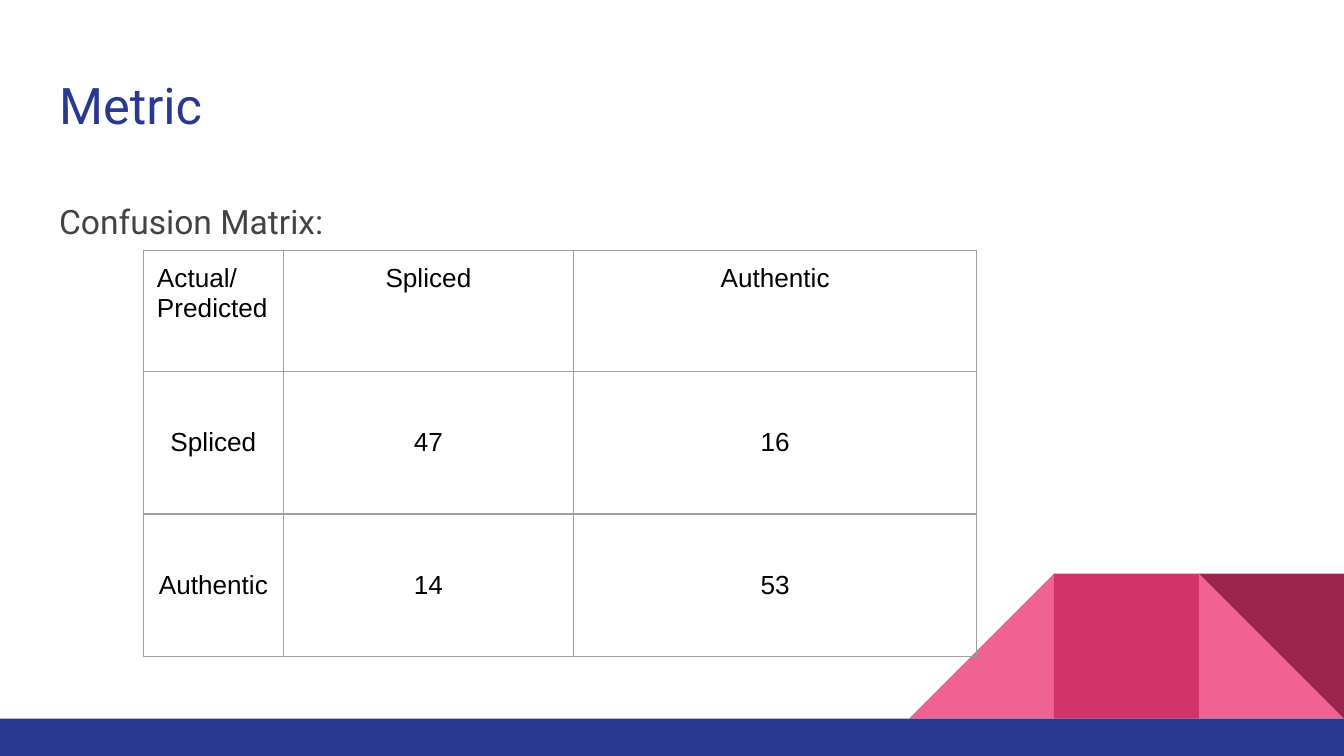
from lxml.etree import SubElement
from pptx import Presentation
from pptx.dml.color import RGBColor
from pptx.enum.shapes import MSO_SHAPE as Preset
from pptx.enum.text import MSO_ANCHOR as Anchor, MSO_AUTO_SIZE as AutoSize, PP_ALIGN as Align
from pptx.oxml.ns import qn
from pptx.util import Pt

SLIDE_W, SLIDE_H = 720, 405
INSET = 7.2
NAVY = RGBColor(0x2A, 0x39, 0x90)
PINK = RGBColor(0xF0, 0x62, 0x92)
ROSE = RGBColor(0xD2, 0x33, 0x69)
WINE = RGBColor(0x9C, 0x25, 0x4D)
DARK_GREY = RGBColor(0x43, 0x43, 0x43)
BORDER_GREY = RGBColor(0x9E, 0x9E, 0x9E)
BLACK = RGBColor(0, 0, 0)


def write_text(frame, text, *, size, color, font, align=Align.LEFT, spacing=1.0):
    """Fill a text frame, one paragraph per line of text."""
    frame.text = text
    for paragraph in frame.paragraphs:
        paragraph.alignment = align
        paragraph.line_spacing = spacing
        paragraph.space_before = Pt(0)
        for run in paragraph.runs:
            run.font.size = Pt(size)
            run.font.name = font
            run.font.color.rgb = color


def set_insets(target):
    target.margin_left = target.margin_right = Pt(INSET)
    target.margin_top = target.margin_bottom = Pt(INSET)


def place_placeholder(holder, box, text, **text_format):
    holder.left, holder.top, holder.width, holder.height = map(Pt, box)
    frame = holder.text_frame
    frame.auto_size = AutoSize.NONE
    frame.vertical_anchor = Anchor.TOP
    set_insets(frame)
    write_text(frame, text, font="Roboto", **text_format)


def remove_bullets(frame):
    for paragraph in frame.paragraphs:
        properties = paragraph._p.get_or_add_pPr()
        properties.set("marL", "0")
        properties.set("indent", "0")
        SubElement(properties, qn("a:buNone"))


def add_tile(slide, preset, box, color, rotation=0):
    tile = slide.shapes.add_shape(preset, *map(Pt, box))
    tile.shadow.inherit = False
    tile.fill.solid()
    tile.fill.fore_color.rgb = color
    tile.line.fill.background()
    tile.rotation = rotation


def add_footer(slide, left, top, width, height):
    """Navy band along the bottom with a row of square tiles above its right end."""
    band_height = 20
    side = height - band_height
    tiles = [
        (2, Preset.RIGHT_TRIANGLE, PINK, 0),
        (0, Preset.RIGHT_TRIANGLE, PINK, 270),
        (1, Preset.RECTANGLE, ROSE, 0),
        (2, Preset.RIGHT_TRIANGLE, WINE, 180),
    ]
    for column, preset, color, rotation in tiles:
        tile_left = left + width - (3 - column) * side
        add_tile(slide, preset, (tile_left, top, side, side), color, rotation)
    add_tile(slide, Preset.RECTANGLE, (left, top + side, width, band_height), NAVY)


def set_borders(cell):
    properties = cell._tc.get_or_add_tcPr()
    for position, side in enumerate(("a:lnL", "a:lnR", "a:lnT", "a:lnB")):
        border = SubElement(properties, qn(side), w=str(Pt(0.75)))
        fill = SubElement(border, qn("a:solidFill"))
        SubElement(fill, qn("a:srgbClr"), val=str(BORDER_GREY))
        properties.insert(position, border)


def add_confusion_matrix(slide, left, top, width, height):
    matrix = [
        ["Actual/\nPredicted", "Spliced", "Authentic"],
        ["Spliced", "47", "16"],
        ["Authentic", "14", "53"],
    ]
    header_height = 64.8
    label_width, spliced_width = 74.9, 155.5
    column_widths = [label_width, spliced_width, width - label_width - spliced_width]
    row_heights = [header_height] + [(height - header_height) / 2] * 2

    table = slide.shapes.add_table(3, 3, *map(Pt, (left, top, width, height))).table
    table.first_row = table.horz_banding = False
    for column, column_width in zip(table.columns, column_widths):
        column.width = Pt(column_width)
    for row, row_height in zip(table.rows, row_heights):
        row.height = Pt(row_height)

    for r, values in enumerate(matrix):
        for c, value in enumerate(values):
            cell = table.cell(r, c)
            cell.fill.background()
            cell.vertical_anchor = Anchor.MIDDLE if r else Anchor.TOP
            set_insets(cell)
            set_borders(cell)
            write_text(cell.text_frame, value, size=14, color=BLACK, font="Arial",
                       align=Align.CENTER if r or c else Align.LEFT)


def build_metric_slide(presentation):
    slide = presentation.slides.add_slide(presentation.slide_layouts[1])

    # Footer decoration
    add_footer(slide, 0, 307.3, SLIDE_W, SLIDE_H - 307.3)

    # Title and lead-in
    heading, lead_in = slide.shapes.title, slide.placeholders[1]
    place_placeholder(heading, (24.5, 32.4, 671, 47.5), "Metric", size=27, color=NAVY)
    place_placeholder(lead_in, (24.5, 97.2, 671, 262.8), "Confusion Matrix:",
                      size=18, color=DARK_GREY, spacing=1.15)
    remove_bullets(lead_in.text_frame)

    # Results
    add_confusion_matrix(slide, 76.9, 134.3, 446.4, 217.4)


def main():
    presentation = Presentation()
    presentation.slide_width = Pt(SLIDE_W)
    presentation.slide_height = Pt(SLIDE_H)
    build_metric_slide(presentation)
    presentation.save("out.pptx")


if __name__ == "__main__":
    main()
